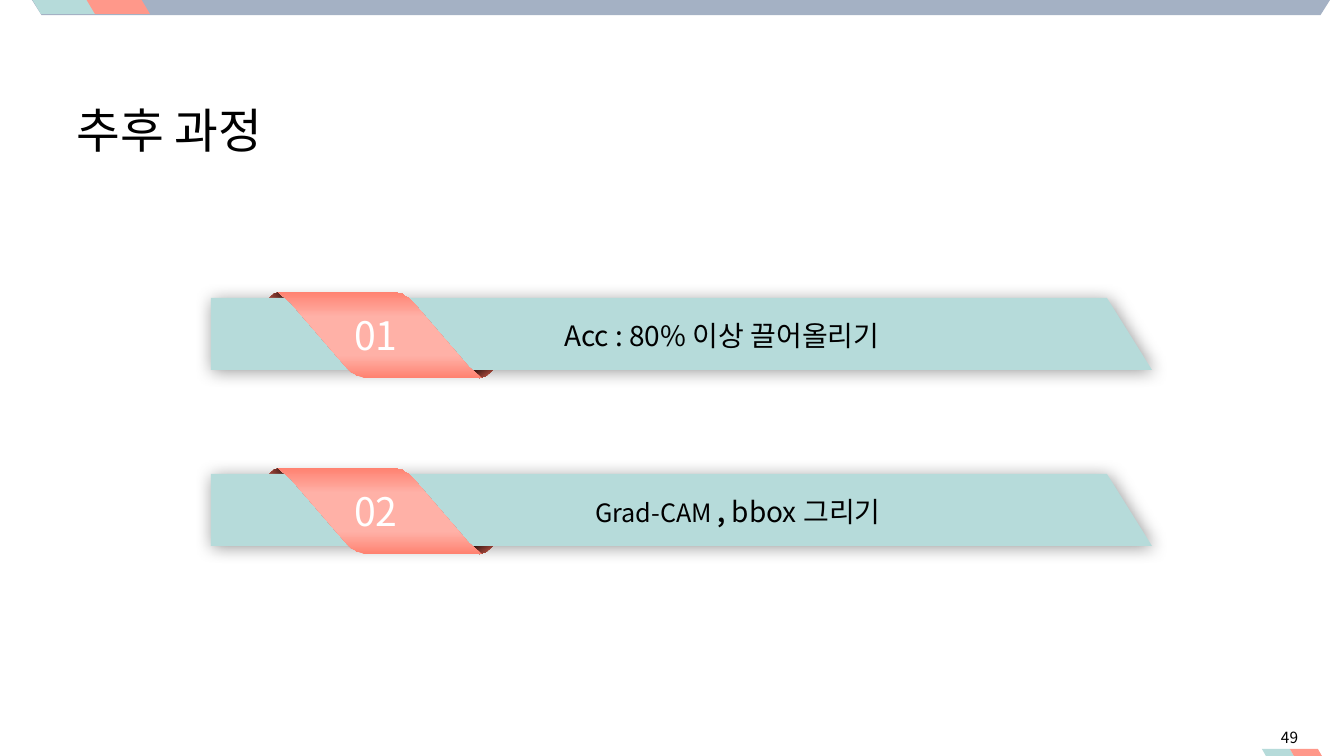
"""Build the next-steps slide: a title and two numbered ribbon banners."""
import lxml.etree
import pptx
import pptx.dml.color
import pptx.enum.shapes
import pptx.enum.text
import pptx.oxml.ns
import pptx.util

PX = 12192000 / 1344
NOTO = "Noto Sans CJK KR"
LEFT, CENTER, RIGHT = (pptx.enum.text.PP_ALIGN[name] for name in ("LEFT", "CENTER", "RIGHT"))
AQUA, CORAL, SLATE = "B6DBDA", "FF988A", "A4B1C4"
FOLD_STOPS = [(0, "FF705D"), (100, "000000")]
RIBBON_STOPS = [(0, "FF8271"), (26, "FFB1A7"), (72, "FFAFA5"), (100, "FF8271")]

TITLE = {"box": (67, 66, 244, 126), "runs": [("추후 과정", 34, False)],
         "align": LEFT, "font": "Arial"}
PAGE_NUMBER = {"box": (1248, 717, 60, 40), "runs": [("49", 11, False)], "align": RIGHT}
STEPS = [
    ("01", (538, 374), [("Acc : 80% 이상 끌어올리기 ", 20, False)]),
    ("02", (575, 326), [("Grad-CAM", 18, False), (" , ", 18, True), ("bbox 그리기", 20, False)]),
]
CORNER_TILES = [
    (32, -1, 55, 9, 15, AQUA), (86, -1, 55, 9, 15, CORAL),
    (1262, 749, 28, 4, 7, AQUA), (1290, 749, 28, 4, 7, CORAL),
]

FIRST_TOP, STEP_PITCH = 292, 176
RIBBON_CENTER = (380, 43)
BAR = [(211, 6), (1107, 6), (1152, 78), (211, 78)]
FOLD = [(280, 0), (286, 2), (295, 11), (264, 11), (274, 2)]
BEND = [(413, 10), (404, 0), (391, 0)]
BEND_PARTS = 10


def px(length):
    return round(length * PX)


def rgb(color):
    return pptx.dml.color.RGBColor.from_string(color)


def half_turn(points):
    cx, cy = RIBBON_CENTER
    return [(2 * cx - x, 2 * cy - y) for x, y in points]


def bend_points():
    for part in range(BEND_PARTS + 1):
        t = part / BEND_PARTS
        weights = ((1 - t) ** 2, 2 * t * (1 - t), t * t)
        yield tuple(sum(w * point[axis] for w, point in zip(weights, BEND)) for axis in (0, 1))


def add_child(parent, tag, **values):
    return lxml.etree.SubElement(parent, pptx.oxml.ns.qn(tag), values)


def add_outline(slide, points, top=0):
    corners = [(x, y + top) for x, y in points]
    builder = slide.shapes.build_freeform(*corners[0], scale=PX)
    builder.add_line_segments(corners[1:], close=True)
    return builder.convert_to_shape()


def paint(shape, color):
    shape.shadow.inherit = False
    shape.line.fill.background()
    shape.fill.solid()
    shape.fill.fore_color.rgb = rgb(color)


def paint_gradient(shape, stops, angle):
    shape.shadow.inherit = False
    shape.line.fill.background()
    shape.fill.gradient()
    shape.fill.gradient_angle = angle
    stop_list = shape._element.spPr.find(".//" + pptx.oxml.ns.qn("a:gsLst"))
    for stop in list(stop_list):
        stop_list.remove(stop)
    for position, color in stops:
        stop = add_child(stop_list, "a:gs", pos=str(position * 1000))
        add_child(stop, "a:srgbClr", val=color)


def cast_shadow(shape):
    effects = shape._element.spPr.find(pptx.oxml.ns.qn("a:effectLst"))
    shadow = add_child(effects, "a:outerShdw", blurRad=str(pptx.util.Pt(12)),
                       dist=str(pptx.util.Pt(1)), dir="2700000", rotWithShape="0")
    tint = add_child(shadow, "a:srgbClr", val="000000")
    add_child(tint, "a:alpha", val="40000")


def add_text(slide, box, runs, align=CENTER, font=NOTO, color="000000"):
    frame = slide.shapes.add_textbox(*map(px, box)).text_frame
    frame.word_wrap = True
    frame.vertical_anchor = pptx.enum.text.MSO_ANCHOR.MIDDLE
    paragraph = frame.paragraphs[0]
    paragraph.alignment = align
    for text, size, bold in runs:
        run = paragraph.add_run()
        run.text = text
        for key, value in {"size": pptx.util.Pt(size), "bold": bold, "name": font}.items():
            setattr(run.font, key, value)
        run.font.color.rgb = rgb(color)
        add_child(run._r.get_or_add_rPr(), "a:ea", typeface=NOTO)


def add_step(slide, top, number, label_span, label):
    for fold, angle in ((FOLD, 45), (half_turn(FOLD), 135)):
        paint_gradient(add_outline(slide, fold, top), FOLD_STOPS, angle)
    bar = add_outline(slide, BAR, top)
    paint(bar, AQUA)
    cast_shadow(bar)
    ribbon_half = [(469, 75), *bend_points(), (278, 0)]
    ribbon = add_outline(slide, ribbon_half + half_turn(ribbon_half), top)
    paint_gradient(ribbon, RIBBON_STOPS, 90)
    add_text(slide, (334, top + 14, 84, 58), [(number, 28, False)], color="FFFFFF")
    left, width = label_span
    add_text(slide, (left, top + 21, width, 44), label)


def main():
    deck = pptx.Presentation()
    deck.slide_width, deck.slide_height = px(1344), px(756)
    slide = deck.slides.add_slide(deck.slide_layouts[6])

    header = slide.shapes.add_shape(pptx.enum.shapes.MSO_SHAPE.TRAPEZOID,
                                    *map(px, (32, 0, 1298, 15)))
    header.rotation = 180
    header.adjustments[0] = 0.63
    paint(header, SLATE)
    for left, top, width, slant, height, color in CORNER_TILES:
        tile = [(left, top), (left + width, top),
                (left + width + slant, top + height), (left + slant, top + height)]
        paint(add_outline(slide, tile), color)

    add_text(slide, **PAGE_NUMBER)
    add_text(slide, **TITLE)
    for index, step in enumerate(STEPS):
        add_step(slide, FIRST_TOP + index * STEP_PITCH, *step)
    deck.save("out.pptx")


if __name__ == "__main__":
    main()
